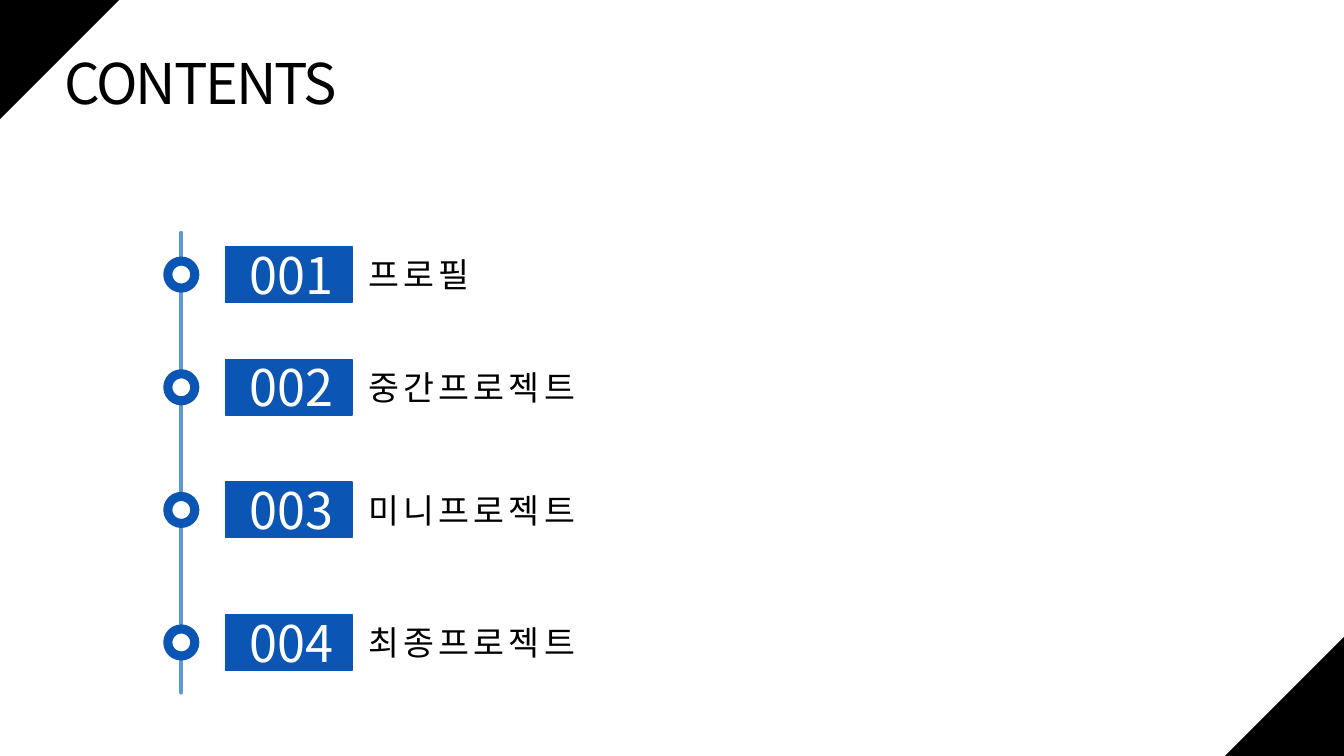
from pptx import Presentation
from pptx.dml.color import RGBColor
from pptx.enum.shapes import MSO_CONNECTOR, MSO_SHAPE
from pptx.enum.text import MSO_ANCHOR, PP_ALIGN
from pptx.oxml.ns import qn
from pptx.util import Cm, Pt
from lxml.etree import SubElement

COLORS = {"black": "000000", "white": "FFFFFF", "blue": "0B55B5", "sky": "5B9BD5"}
FONT = "Noto Sans CJK KR"
WIDTH, HEIGHT = 33.87, 19.05


def add_filled(shapes, kind, x, y, w, h, fill, line=None, line_width=1):
    sp = shapes.add_shape(kind, Cm(x), Cm(y), Cm(w), Cm(h))
    sp.shadow.inherit = False
    sp.fill.solid()
    sp.fill.fore_color.rgb = RGBColor.from_string(COLORS[fill])
    if line:
        sp.line.color.rgb = RGBColor.from_string(COLORS[line])
        sp.line.width = Pt(line_width)
    else:
        sp.line.fill.background()
    return sp


def write_text(sp, text, size, color="black", align=PP_ALIGN.LEFT, spacing=0):
    """Fill sp with one run; spacing is the letter spacing in points."""
    tf = sp.text_frame
    tf.word_wrap = True
    tf.vertical_anchor = MSO_ANCHOR.TOP
    p = tf.paragraphs[0]
    p.alignment = align
    r = p.add_run()
    r.text = text
    for name, value in {"size": Pt(size), "name": FONT}.items():
        setattr(r.font, name, value)
    r.font.color.rgb = RGBColor.from_string(COLORS[color])
    rPr = r._r.get_or_add_rPr()
    SubElement(rPr, qn("a:ea")).set("typeface", FONT)
    if spacing:
        rPr.set("spc", str(int(spacing * 100)))


prs = Presentation()
prs.slide_width, prs.slide_height = Cm(WIDTH), Cm(HEIGHT)
s = prs.slides.add_slide(prs.slide_layouts[5])

# Black corners
corner = 3
for x, y, angle in [(0, 0, 90), (WIDTH - corner, HEIGHT - corner, 270)]:
    sp = add_filled(s.shapes, MSO_SHAPE.ISOSCELES_TRIANGLE, x, y, corner, corner, "black")
    sp.adjustments[0] = 0
    sp.rotation = angle

# Title
title = s.shapes.title
title.left, title.top, title.width, title.height = Cm(1.37), Cm(1.09), Cm(8.76), Cm(1.96)
write_text(title, "CONTENTS", 40, spacing=-1.5)

# Timeline
axis_x = 4.57
axis = s.shapes.add_connector(MSO_CONNECTOR.STRAIGHT, Cm(axis_x), Cm(5.87), Cm(axis_x), Cm(17.45))
axis.line.color.rgb = RGBColor.from_string(COLORS["sky"])
axis.line.width = Pt(3)
spPr = axis._element.spPr
spPr.find(qn("a:ln")).set("cap", "rnd")
SubElement(spPr, qn("a:effectLst"))

# Contents entries, each with the height of its centre
entries = [(6.92, "프로필"), (9.76, "중간프로젝트"), (12.85, "미니프로젝트"), (16.19, "최종프로젝트")]
dot, badge_h, number_h, label_h = 0.68, 1.4, 1.8, 1.28
for i, (y, label) in enumerate(entries, 1):
    add_filled(s.shapes, MSO_SHAPE.OVAL, axis_x - dot / 2, y - dot / 2, dot, dot,
               "white", "blue", 6.5)
    badge = s.shapes.add_group_shape()
    add_filled(badge.shapes, MSO_SHAPE.RECTANGLE, 5.69, y - badge_h / 2, 3.18, badge_h,
               "blue", "blue")
    number = badge.shapes.add_textbox(Cm(5.89), Cm(y - number_h / 2), Cm(2.92), Cm(number_h))
    write_text(number, f"{i:03}", 36, "white", PP_ALIGN.CENTER)
    tb = s.shapes.add_textbox(Cm(9.04), Cm(y - label_h / 2), Cm(6.27), Cm(label_h))
    write_text(tb, label, 24, spacing=3)

prs.save("out.pptx")
